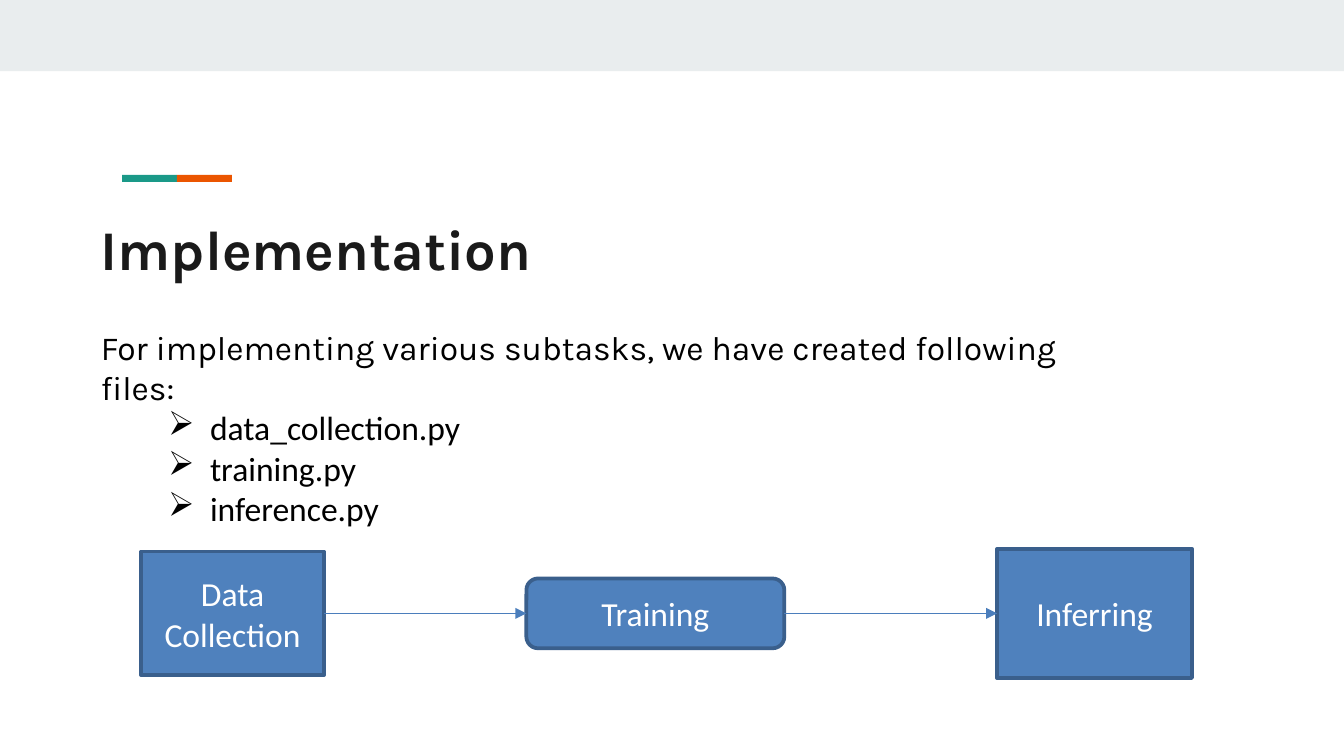
from dataclasses import dataclass

from lxml import etree
from pptx import Presentation
from pptx.dml.color import RGBColor as RGB
from pptx.enum.shapes import MSO_CONNECTOR as Connector, MSO_SHAPE as Shape
from pptx.enum.text import MSO_ANCHOR as Anchor, PP_ALIGN as Align
from pptx.oxml.ns import qn
from pptx.util import Pt


@dataclass(frozen=True)
class Theme:
    band: RGB = RGB(0xE9, 0xED, 0xEE)
    teal: RGB = RGB(0x1A, 0x99, 0x88)
    orange: RGB = RGB(0xEB, 0x55, 0x00)
    heading: RGB = RGB(0x1A, 0x1A, 0x1A)
    body: RGB = RGB(0, 0, 0)
    white: RGB = RGB(0xFF, 0xFF, 0xFF)
    step: RGB = RGB(0x4F, 0x81, 0xBD)
    step_edge: RGB = RGB(0x3A, 0x5F, 0x8C)
    arrow: RGB = RGB(0x4B, 0x7E, 0xBC)
    display_font: str = "Karla"
    text_font: str = "Calibri"
    heading_size: int = 30
    body_size: int = 18


THEME = Theme()
WIDTH, HEIGHT = 720, 405
FILES = ["data_collection.py", "training.py", "inference.py"]
# Label, preset, left offset, width, height
STEPS = [
    ("Data Collection", Shape.RECTANGLE, 0, 98, 66.2),
    ("Training", Shape.ROUNDED_RECTANGLE, 206.4, 138.2, 37.4),
    ("Inferring", Shape.RECTANGLE, 458.6, 104.4, 69.2),
]


def style(paragraph, font_name, size, color, bold=False):
    font = paragraph.font
    font.name, font.size, font.bold = font_name, Pt(size), bold
    font.color.rgb = color


def add_block(slide, preset, left, top, width, height, fill):
    block = slide.shapes.add_shape(preset, Pt(left), Pt(top), Pt(width), Pt(height))
    block.shadow.inherit = False
    block.fill.solid()
    block.fill.fore_color.rgb = fill
    block.line.fill.background()
    return block


def add_text_frame(slide, left, top, width, height):
    frame = slide.shapes.add_textbox(Pt(left), Pt(top), Pt(width), Pt(height)).text_frame
    frame.word_wrap = True
    frame.margin_left = frame.margin_right = frame.margin_top = frame.margin_bottom = 0
    return frame


def add_bullet(paragraph, symbol, indent, hanging):
    properties = paragraph._p.get_or_add_pPr()
    properties.set("marL", str(Pt(indent)))
    properties.set("indent", str(-Pt(hanging)))
    etree.SubElement(properties, qn("a:buChar"), char=symbol)


def add_accent(slide, left, top, width, height):
    half = width / 2
    for index, color in enumerate((THEME.teal, THEME.orange)):
        add_block(slide, Shape.RECTANGLE, left + index * half, top, half, height, color)


def add_title(slide, left, top, width, height):
    heading = add_text_frame(slide, left, top, width, height).paragraphs[0]
    heading.text = "Implementation"
    style(heading, THEME.display_font, THEME.heading_size, THEME.heading, bold=True)


def add_file_list(slide, left, top, width, height):
    frame = add_text_frame(slide, left, top, width, height)
    intro = frame.paragraphs[0]
    intro.text = "For implementing various subtasks, we have created following files:"
    style(intro, THEME.display_font, THEME.body_size, THEME.body)
    for file_name in FILES:
        entry = frame.add_paragraph()
        entry.text = file_name
        entry.level = 1
        add_bullet(entry, "➢", indent=58.5, hanging=22.5)
        style(entry, THEME.text_font, THEME.body_size, THEME.body)


def add_arrow(slide, source, target):
    arrow = slide.shapes.add_connector(Connector.STRAIGHT, 0, 0, 0, 0)
    # Site 3 is the right edge, site 1 the left edge
    arrow.begin_connect(source, 3)
    arrow.end_connect(target, 1)
    arrow.line.color.rgb = THEME.arrow
    arrow.line.width = Pt(0.75)
    etree.SubElement(arrow.line._get_or_add_ln(), qn("a:tailEnd"), type="triangle")
    etree.SubElement(arrow._element.spPr, qn("a:effectLst"))


def add_pipeline(slide, left, top, height):
    steps = []
    for label, preset, offset, step_width, step_height in STEPS:
        step_top = top + (height - step_height) / 2
        step = add_block(slide, preset, left + offset, step_top,
                         step_width, step_height, THEME.step)
        step.line.color.rgb = THEME.step_edge
        step.line.width = Pt(2)
        step.text_frame.word_wrap = True
        step.text_frame.vertical_anchor = Anchor.MIDDLE
        caption = step.text_frame.paragraphs[0]
        caption.text = label
        caption.alignment = Align.CENTER
        style(caption, THEME.text_font, THEME.body_size, THEME.white)
        steps.append(step)
    for source, target in zip(steps, steps[1:]):
        add_arrow(slide, source, target)


def main():
    deck = Presentation()
    deck.slide_width, deck.slide_height = Pt(WIDTH), Pt(HEIGHT)
    slide = deck.slides.add_slide(deck.slide_layouts[6])

    # Top band and two-colour accent
    add_block(slide, Shape.RECTANGLE, 0, 0, WIDTH, 38.2, THEME.band)
    add_accent(slide, 65.4, 93.7, 58.8, 3.7)

    # Heading and list of files
    add_title(slide, 54, 115.2, 612, 36)
    add_file_list(slide, 54, 175, 552, 131)

    # Pipeline of steps
    add_pipeline(slide, 75.6, 294, 69.2)

    deck.save("out.pptx")


if __name__ == "__main__":
    main()
